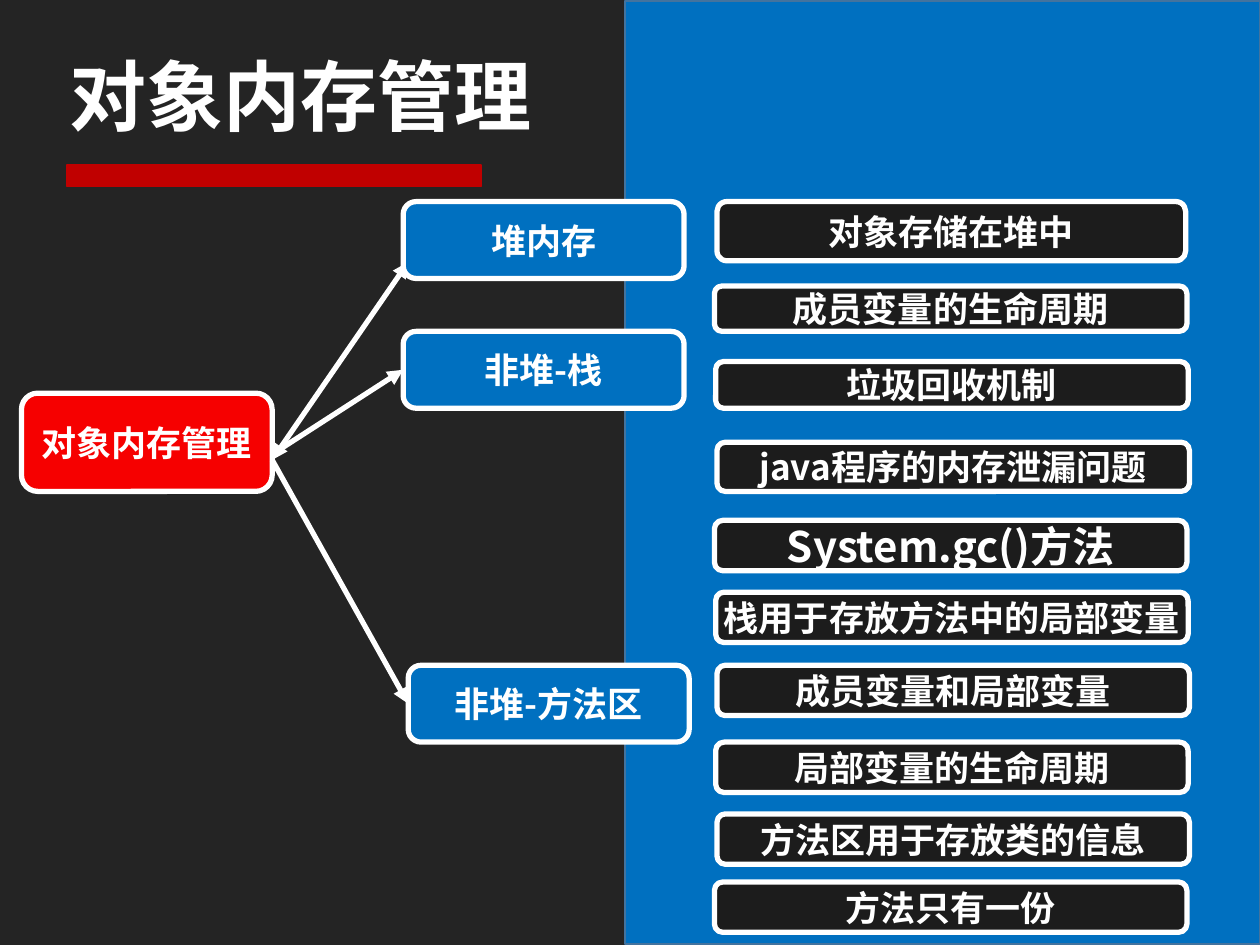
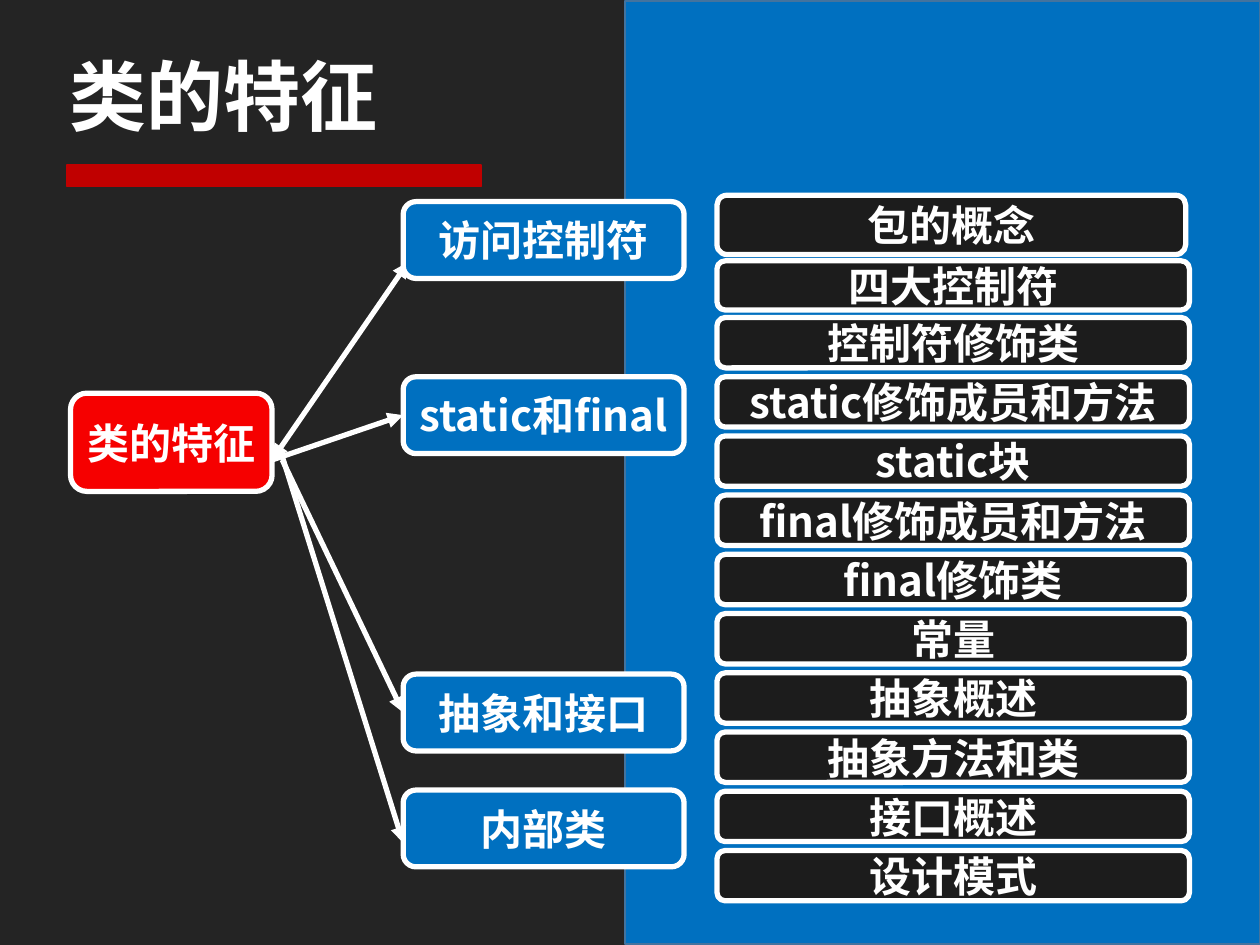
from dataclasses import dataclass
from typing import Optional

from lxml.etree import SubElement
from pptx import Presentation
from pptx.dml.color import RGBColor
from pptx.enum.shapes import MSO_CONNECTOR, MSO_SHAPE
from pptx.enum.text import MSO_ANCHOR, PP_ALIGN
from pptx.oxml.ns import qn
from pptx.util import Inches, Pt

FONT = "Noto Sans CJK SC"
WHITE = "FFFFFF"
BACKGROUND = "242424"
BLUE = "0070C0"
PANEL_EDGE = "43739E"
RED = "F60000"
DARK_RED = "C00000"
BLACK = "1C1C1C"
LEFT_SIDE = 1


@dataclass
class Node:
    text: str
    left: float
    top: float
    width: float
    height: float
    size: int


@dataclass
class Arrow:
    start: tuple[float, float]
    end: tuple[float, float] = (0, 0)
    branch: Optional[int] = None  # branch whose left side the arrow joins
    both_heads: bool = False


@dataclass
class MindMap:
    title: str
    root: Node
    branches: list[Node]
    details: list[Node]
    arrows: list[Arrow]


def color(hex_value: str) -> RGBColor:
    return RGBColor.from_string(hex_value)


def add_text(box, text: str, size: int, align: PP_ALIGN) -> None:
    frame = box.text_frame
    frame.vertical_anchor = MSO_ANCHOR.MIDDLE
    para = frame.paragraphs[0]
    para.alignment = align
    span = para.add_run()
    span.text = text
    span.font.size = Pt(size)
    span.font.bold = True
    span.font.color.rgb = color(WHITE)
    span.font.name = FONT
    # Chinese characters take the East Asian font
    SubElement(span.font._element, qn("a:ea"), typeface=FONT)


def add_block(page, kind: MSO_SHAPE, left: float, top: float, width: float,
              height: float, fill: str, edge: str, weight: float):
    block = page.shapes.add_shape(kind, Inches(left), Inches(top), Inches(width), Inches(height))
    block.shadow.inherit = False
    block.fill.solid()
    block.fill.fore_color.rgb = color(fill)
    block.line.color.rgb = color(edge)
    block.line.width = Pt(weight)
    return block


def add_node(page, node: Node, fill: str):
    block = add_block(page, MSO_SHAPE.FLOWCHART_ALTERNATE_PROCESS, node.left, node.top,
                      node.width, node.height, fill, WHITE, 3)
    frame = block.text_frame
    frame.word_wrap = False
    frame.margin_left = frame.margin_right = Inches(0.11)
    frame.margin_top = frame.margin_bottom = Inches(0.05)
    add_text(block, node.text, node.size, PP_ALIGN.CENTER)
    return block


def add_arrow(page, arrow: Arrow, branches: list) -> None:
    points = [Inches(value) for value in (*arrow.start, *arrow.end)]
    connector = page.shapes.add_connector(MSO_CONNECTOR.STRAIGHT, *points)
    if arrow.branch is not None:
        connector.end_connect(branches[arrow.branch], LEFT_SIDE)
    connector.line.color.rgb = color(WHITE)
    connector.line.width = Pt(3)
    line = connector.line._get_or_add_ln()
    if arrow.both_heads:
        SubElement(line, qn("a:headEnd"), type="triangle")
    SubElement(line, qn("a:tailEnd"), type="triangle")
    SubElement(connector._element.spPr, qn("a:effectLst"))


def add_frame(page, title: str) -> None:
    """Background, right panel, title and the bar under it."""
    page.background.fill.solid()
    page.background.fill.fore_color.rgb = color(BACKGROUND)
    add_block(page, MSO_SHAPE.RECTANGLE, 4.96, 0.01, 5.04, 7.48, BLUE, PANEL_EDGE, 1)
    box = page.shapes.add_textbox(Inches(0.45), Inches(0.23), Inches(9.09), Inches(1.04))
    box.text_frame.word_wrap = True
    add_text(box, title, 44, PP_ALIGN.LEFT)
    add_block(page, MSO_SHAPE.RECTANGLE, 0.53, 1.31, 3.29, 0.17, DARK_RED, DARK_RED, 1)


def add_map(deck, mind_map: MindMap) -> None:
    page = deck.slides.add_slide(deck.slide_layouts[6])
    add_frame(page, mind_map.title)
    add_node(page, mind_map.root, RED)
    # The first arrow runs behind the first branch
    first, *others = mind_map.arrows
    add_arrow(page, first, [])
    branches = [add_node(page, node, BLUE) for node in mind_map.branches]
    for node in mind_map.details:
        add_node(page, node, BLACK)
    for arrow in others:
        add_arrow(page, arrow, branches)


def branch(text: str, top: float, size: int, left: float = 3.2) -> Node:
    return Node(text, left, top, 2.23, 0.61, size)


def detail(text: str, top: float, size: int, left: float = 5.69,
           width: float = 3.75, height: float = 0.4) -> Node:
    return Node(text, left, top, width, height, size)


FIRST_ARROW = Arrow((2.16, 3.65), (3.24, 2.08), both_heads=True)

MEMORY = MindMap(
    title="对象内存管理",
    root=Node("对象内存管理", 0.17, 3.12, 1.99, 0.78, 20),
    branches=[
        branch("堆内存", 1.6, 20),
        branch("非堆-栈", 2.63, 20),
        branch("非堆-方法区", 5.28, 20, left=3.24),
    ],
    details=[
        detail("对象存储在堆中", 1.6, 20, width=3.72, height=0.47),
        detail("成员变量的生命周期", 2.27, 20, left=5.67, height=0.36),
        detail("垃圾回收机制", 2.87, 20, left=5.68, height=0.37),
        detail("java程序的内存泄漏问题", 3.51, 20, height=0.39),
        detail("System.gc()方法", 4.13, 24, left=5.67),
        detail("栈用于存放方法中的局部变量", 4.7, 20, left=5.68),
        detail("成员变量和局部变量", 5.28, 20),
        detail("局部变量的生命周期", 5.89, 20, left=5.68),
        detail("方法区用于存放类的信息", 6.46, 20),
        detail("方法只有一份", 7, 20, left=5.67),
    ],
    arrows=[FIRST_ARROW, Arrow((2.2, 3.58), branch=1), Arrow((2.16, 3.65), branch=2)],
)

# Evenly spaced details below the first two
CLASS_DETAILS = [
    "控制符修饰类", "static修饰成员和方法", "static块", "final修饰成员和方法", "final修饰类",
    "常量", "抽象概述", "抽象方法和类", "接口概述", "设计模式",
]

CLASSES = MindMap(
    title="类的特征",
    root=Node("类的特征", 0.56, 3.12, 1.6, 0.78, 24),
    branches=[
        branch("访问控制符", 1.6, 24),
        branch("static和final", 2.99, 24),
        branch("抽象和接口", 5.35, 24),
        branch("内部类", 6.27, 24),
    ],
    details=[
        detail("四大控制符", 2.07, 24, height=0.39),
        detail("包的概念", 1.55, 24, width=3.72, height=0.47),
        *(detail(text, 2.52 + 0.47 * row, 24) for row, text in enumerate(CLASS_DETAILS)),
    ],
    arrows=[
        FIRST_ARROW,
        Arrow((2.16, 3.65), branch=1),
        Arrow((2.24, 3.65), branch=2),
        Arrow((2.23, 3.59), (3.2, 6.69)),
    ],
)


def main() -> None:
    deck = Presentation()
    deck.slide_width = Inches(10)
    deck.slide_height = Inches(7.5)
    for mind_map in (MEMORY, CLASSES):
        add_map(deck, mind_map)
    deck.save("out.pptx")


if __name__ == "__main__":
    main()
